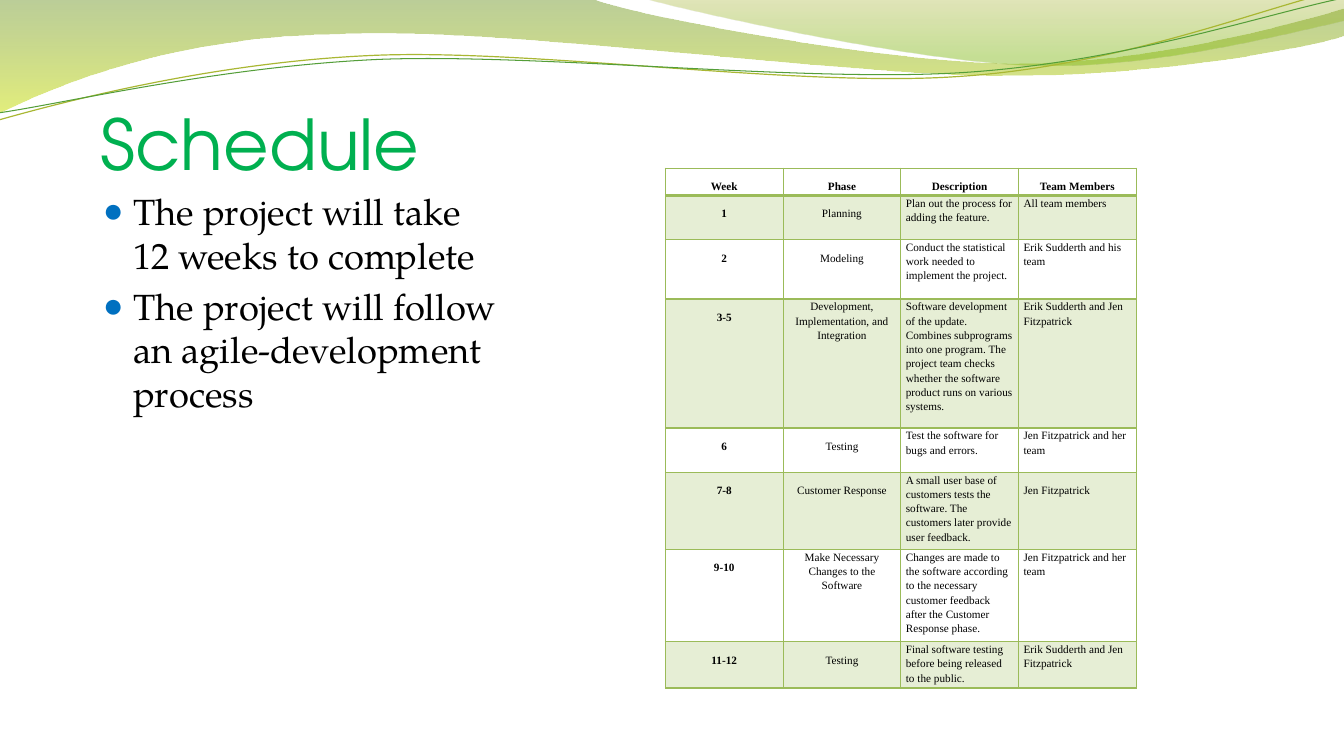
"""Build a project schedule slide with a wave header, bullets and a table."""
from math import cos, radians, sin
from lxml.etree import SubElement
from pptx import Presentation
from pptx.dml.color import RGBColor
from pptx.enum.text import MSO_ANCHOR, PP_ALIGN
from pptx.oxml import parse_xml
from pptx.oxml.ns import nsdecls, qn
from pptx.util import Inches, Pt

W, H = Inches(13.33), Inches(7.5)
GRID, BAND = "9BBB59", "E6EED5"
PLAIN = "{2D5ABB26-0587-4C30-8999-92F81FD0307C}"

deck = Presentation()
deck.slide_width, deck.slide_height = W, H
slide = deck.slides.add_slide(deck.slide_layouts[6])


def write(frame, text, font, size, color="000000", bold=False, align=None,
          space=None, before=None, bullet=None):
    """Fill a text frame, one paragraph for each line of text."""
    for i, line in enumerate(text.split("\n")):
        para = frame.add_paragraph() if i else frame.paragraphs[0]
        para.alignment, para.line_spacing, para.space_before = align, space, before
        run = para.add_run()
        run.text = line
        run.font.name, run.font.size, run.font.bold = font, Pt(size), bold
        run.font.color.rgb = RGBColor.from_string(color)
        if bullet:
            props = para._p.get_or_add_pPr()
            props.set("marL", str(Inches(0.3)))
            props.set("indent", str(-Inches(0.3)))
            tint = SubElement(props, qn("a:buClr"))
            SubElement(tint, qn("a:srgbClr"), val=bullet)
            SubElement(props, qn("a:buSzPct"), val="95000")
            SubElement(props, qn("a:buFont"), typeface="Times New Roman")
            SubElement(props, qn("a:buChar"), char="●")


def trace(start, parts, close):
    """Draw an outline from line ends (2 numbers) and cubic curves (6 numbers)."""
    spots = [(1000 * p[k], 1000 * p[k + 1]) for p in parts for k in range(0, len(p), 2)]
    pen = slide.shapes.build_freeform(start[0] * 1000, start[1] * 1000, Inches(1) / 1000)
    pen.add_line_segments(spots, close=close)
    shape = pen.convert_to_shape()
    shape.shadow.inherit = False
    lines = iter(list(shape._element.iter(qn("a:lnTo"))))
    for part in parts:
        head = next(lines)
        if len(part) == 6:
            head.tag = qn("a:cubicBezTo")
            for more in (next(lines), next(lines)):
                head.append(more[0])
                more.getparent().remove(more)
    return shape


waves = [
    ((0, 0), [(5.87, -0.01), (6.34, 0.17, 8.84, 0.63, 10.11, 0.63),
              (11.37, 0.63, 12.77, 0.26, 13.33, 0.09), (13.34, 0.36),
              (13.11, 0.44, 11.59, 0.76, 9.94, 0.75),
              (8.29, 0.75, 5.09, 0.28, 3.43, 0.34),
              (1.72, 0.36, 0.61, 0.83, -0.02, 1.13)],
     [(0, "69921C", 45), (100, "CCE10F", 55)]),
    ((6.38, -0.01), [(6.79, 0.11, 9.09, 0.62, 10.25, 0.65),
                     (11.4, 0.69, 12.82, 0.32, 13.33, 0.21), (13.33, 0)],
     [(0, "9BAA1A", 30), (80, "81BA16", 45)]),
]
for start, parts, stops in waves:
    wave = trace(start, parts, True)
    wave.line.fill.background()
    marks = "".join(
        f'<a:gs pos="{pos * 1000}"><a:srgbClr val="{color}">'
        f'<a:alpha val="{alpha * 1000}"/></a:srgbClr></a:gs>'
        for pos, color, alpha in stops)
    wave._element.spPr.find(qn("a:custGeom")).addnext(parse_xml(
        f'<a:gradFill {nsdecls("a")}><a:gsLst>{marks}</a:gsLst>'
        '<a:lin ang="5400000" scaled="0"/></a:gradFill>'))

curves = [
    ([(-0.01, 1.19), (0.63, 1.01, 2.1, 0.62, 3.69, 0.55),
      (5.27, 0.48, 7.89, 0.87, 9.49, 0.76),
      (11.1, 0.66, 12.51, 0.08, 13.3, -0.1)], (6.65, 0.575), "A9B733", 0.85),
    ([(-0.01, 1.12), (0.62, 1.03, 2.18, 0.66, 3.77, 0.59),
      (5.37, 0.53, 7.96, 0.82, 9.55, 0.72),
      (11.14, 0.62, 12.55, 0.14, 13.33, -0.02)], (6.67, 0.59), "549E39", 0.75),
]
tilt = radians(2.7)
for parts, (mid, axis), color, width in curves:
    level = []
    for part in parts:
        flat = []
        for x, y in zip(part[::2], part[1::2]):
            flat += [mid + (x - mid) * cos(tilt) - (y - axis) * sin(tilt),
                     axis + (x - mid) * sin(tilt) + (y - axis) * cos(tilt)]
        level.append(flat)
    curve = trace(level[0], level[1:], False)
    curve.rotation = 357.3
    curve.fill.background()
    curve.line.color.rgb = RGBColor.from_string(color)
    curve.line.width = Pt(width)

left, wide = int(W * 0.075), int(W * 0.3)
title = slide.shapes.add_textbox(left, int(H * 0.075), wide, int(H * 0.169)).text_frame
title.word_wrap, title.vertical_anchor = True, MSO_ANCHOR.BOTTOM
title.margin_left = title.margin_right = title.margin_bottom = 0
write(title, "Schedule", "TeX Gyre Adventor", 50, color="00B050")
body = slide.shapes.add_textbox(left, int(H * 0.244), wide, int(H * 2 / 3)).text_frame
body.word_wrap = True
body.margin_left = body.margin_right = Inches(0.02)
write(body, "The project will take 12 weeks to complete\n"
      "The project will follow an agile-development process",
      "TeX Gyre Pagella", 26, before=Pt(5.2), bullet="0070C0")

rows = [
    (0.26, "Week", "Phase", "Description", "Team Members"),
    (0.44, "1", "Planning", "Plan out the process for adding the feature.",
     "All team members"),
    (0.59, "2", "Modeling",
     "Conduct the statistical work needed to implement the project.",
     "Erik Sudderth and his team"),
    (1.28, "3-5", "Development, Implementation, and Integration",
     "Software development of the update. Combines subprograms into one program. "
     "The project team checks whether the software product runs on various systems.",
     "Erik Sudderth and Jen Fitzpatrick"),
    (0.44, "6", "Testing", "Test the software for bugs and errors.",
     "Jen Fitzpatrick and her team"),
    (0.74, "7-8", "Customer Response",
     "A small user base of customers tests the software. "
     "The customers later provide user feedback.", "Jen Fitzpatrick"),
    (0.89, "9-10", "Make Necessary Changes to the Software",
     "Changes are made to the software according to the necessary customer "
     "feedback after the Customer Response phase.", "Jen Fitzpatrick and her team"),
    (0.44, "11-12", "Testing",
     "Final software testing before being released to the public.",
     "Erik Sudderth and Jen Fitzpatrick"),
]
high = Inches(sum(row[0] for row in rows))
table = slide.shapes.add_table(len(rows), 4, Inches(6.6), Inches(1.67),
                               Inches(4.67), high).table
table.first_row = table.horz_banding = False
table._tbl.tblPr.find(qn("a:tableStyleId")).text = PLAIN
for r, (tall, *texts) in enumerate(rows):
    table.rows[r].height = Inches(tall)
    for c, text in enumerate(texts):
        cell = table.cell(r, c)
        props = cell._tc.get_or_add_tcPr()
        for side in "LRTB":
            thick = (r, side) in ((0, "B"), (1, "T"))
            edge = SubElement(props, qn(f"a:ln{side}"), w=str(Pt(2.25 if thick else 1)))
            SubElement(SubElement(edge, qn("a:solidFill")), qn("a:srgbClr"), val=GRID)
        if r % 2:
            cell.fill.solid()
            cell.fill.fore_color.rgb = RGBColor.from_string(BAND)
        else:
            cell.fill.background()
        cell.margin_left = cell.margin_right = Inches(0.05)
        cell.margin_top = cell.margin_bottom = 0
        tight = r and (c > 1 or len(text) > 20) and text != "Jen Fitzpatrick"
        write(cell.text_frame, text, "Times New Roman", 8, bold=r == 0 or c == 0,
              align=PP_ALIGN.CENTER if r == 0 or c < 2 else PP_ALIGN.LEFT,
              space=1.15 if tight else 2.0)

deck.save("out.pptx")
